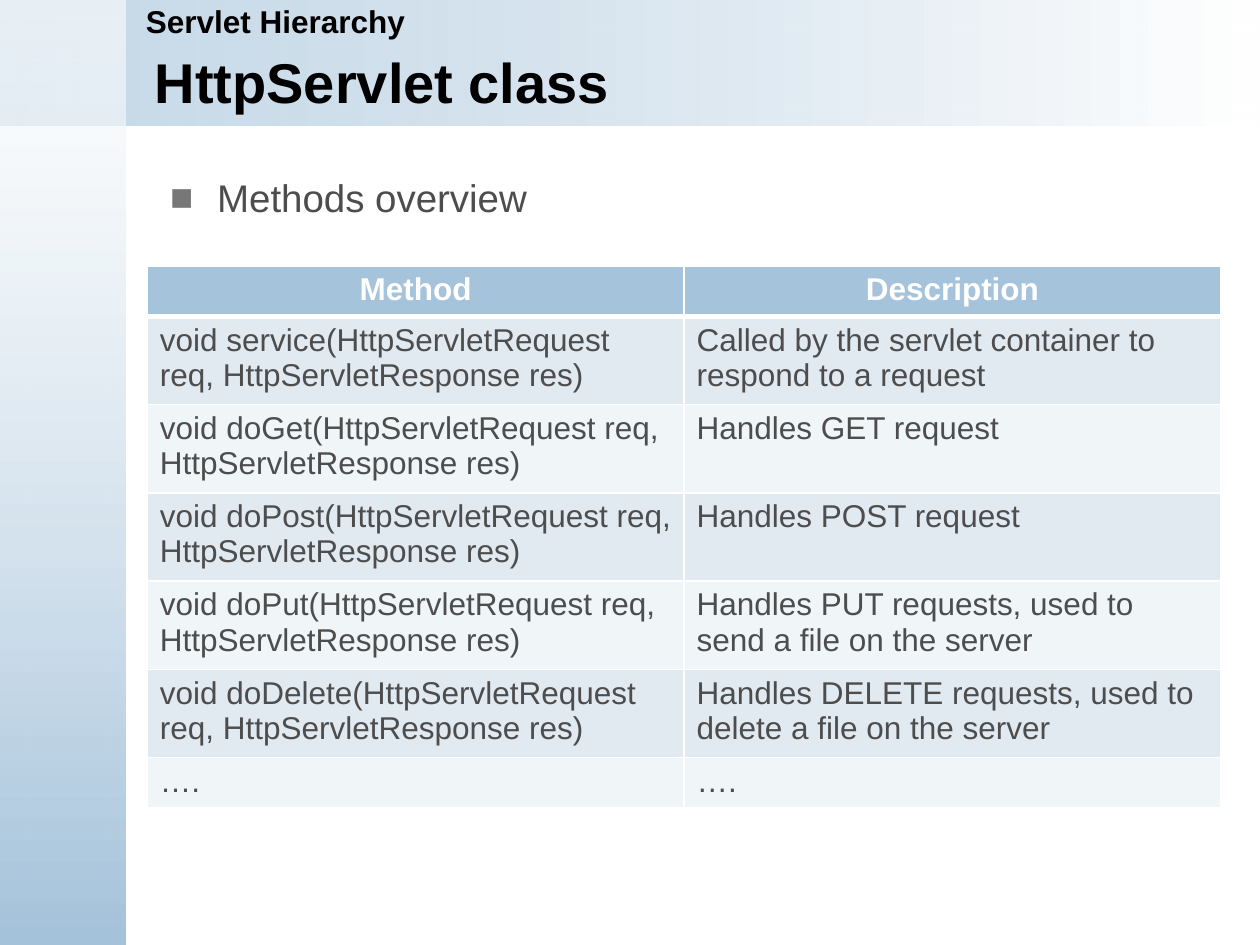
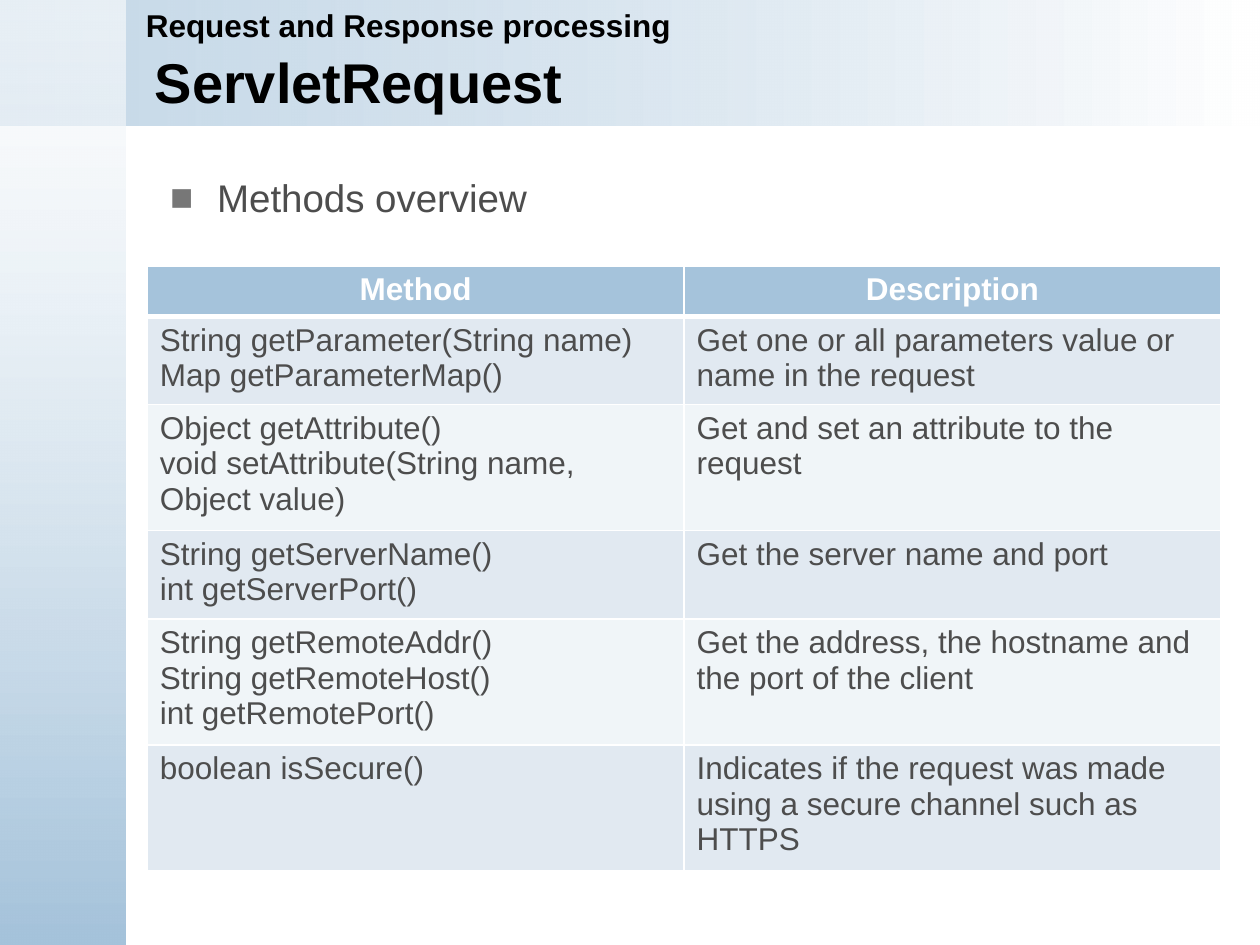
from lxml.etree import SubElement
from pptx import Presentation
from pptx.dml.color import RGBColor
from pptx.enum.shapes import MSO_SHAPE
from pptx.enum.text import MSO_ANCHOR, MSO_AUTO_SIZE, PP_ALIGN
from pptx.oxml.ns import qn
from pptx.util import Cm, Pt

FONT = "Arial"
COLORS = {
    "blue": "A5C3DB",
    "white": "FFFFFF",
    "title": "000000",
    "body": "4D4D4D",
    "bullet": "777777",
    "odd_row": "E1E9F1",
    "even_row": "F0F5F8",
}

BULLET_TEXT = "Methods overview"
HEADERS = ("Method", "Description")

# Each row: method signatures, description, number of lines it takes up
SLIDES = [
    {
        "section": "Servlet Hierarchy",
        "section_top": -0.08,
        "title": "HttpServlet class",
        "rows": [
            ("void service(HttpServletRequest req, HttpServletResponse res)",
             "Called by the servlet container to respond to a request", 2),
            ("void doGet(HttpServletRequest req, HttpServletResponse res)",
             "Handles GET request", 2),
            ("void doPost(HttpServletRequest req, HttpServletResponse res)",
             "Handles POST request", 2),
            ("void doPut(HttpServletRequest req, HttpServletResponse res)",
             "Handles PUT requests, used to send a file on the server", 2),
            ("void doDelete(HttpServletRequest req, HttpServletResponse res)",
             "Handles DELETE requests, used to delete a file on the server", 2),
            ("….", "….", 1),
        ],
    },
    {
        "section": "Request and Response processing",
        "section_top": 0,
        "title": "ServletRequest",
        "rows": [
            ("String getParameter(String name)\nMap getParameterMap()",
             "Get one or all parameters value or name in the request", 2),
            ("Object getAttribute()\nvoid setAttribute(String name, Object value)",
             "Get and set an attribute to the request", 3),
            ("String getServerName()\nint getServerPort()",
             "Get the server name and port", 2),
            ("String getRemoteAddr()\nString getRemoteHost()\nint getRemotePort()",
             "Get the address, the hostname and the port of the client", 3),
            ("boolean isSecure()",
             "Indicates if the request was made using a secure channel such as HTTPS", 3),
        ],
    },
]

SLIDE_WIDTH, SLIDE_HEIGHT = Cm(25.4), Cm(19.05)
BAND_SIZE = Cm(2.54)
TABLE_LEFT, TABLE_TOP = Cm(2.97), Cm(5.36)
COLUMN_WIDTH = Cm(10.82)
ROW_PADDING, LINE_HEIGHT = Cm(0.25), Cm(0.76)


def rgb(name):
    return RGBColor.from_string(COLORS[name])


def format_text(text_frame, size, color, bold=False, alignment=None):
    for paragraph in text_frame.paragraphs:
        paragraph.alignment = alignment
        for run in paragraph.runs:
            run.font.name = FONT
            run.font.size = Pt(size)
            run.font.bold = bold
            run.font.color.rgb = rgb(color)


def add_band(slide, width, height, start, end, start_opacity, angle):
    """Add a gradient band from the top left corner; its start is see-through."""
    band = slide.shapes.add_shape(MSO_SHAPE.RECTANGLE, 0, 0, width, height)
    band.shadow.inherit = False
    band.line.fill.background()
    band.fill.gradient()
    band.fill.gradient_angle = angle
    for stop, color in zip(band.fill.gradient_stops, (start, end)):
        stop.color.rgb = rgb(color)
    first_color = next(band.element.iter(qn("a:srgbClr")))
    SubElement(first_color, qn("a:alpha"), val=str(start_opacity * 1000))


def add_text(slide, text, left, top, width, height, size, color, bold=False):
    box = slide.shapes.add_textbox(Cm(left), Cm(top), Cm(width), Cm(height))
    text_frame = box.text_frame
    text_frame.word_wrap = True
    text_frame.text = text
    format_text(text_frame, size, color, bold)
    return text_frame


def add_bullet(paragraph):
    properties = paragraph._p.get_or_add_pPr()
    indent = Cm(0.95)
    properties.set("marL", str(indent))
    properties.set("indent", str(-indent))
    bullet_color = SubElement(properties, qn("a:buClr"))
    SubElement(bullet_color, qn("a:srgbClr"), val=COLORS["bullet"])
    SubElement(properties, qn("a:buFont"), typeface=FONT)
    SubElement(properties, qn("a:buChar"), char="■")


def set_borders(cell, top, bottom):
    properties = cell._tc.get_or_add_tcPr()
    for side, points in (("L", 1), ("R", 1), ("T", top), ("B", bottom)):
        line = SubElement(properties, qn(f"a:ln{side}"), w=str(Pt(points)))
        fill = SubElement(line, qn("a:solidFill"))
        SubElement(fill, qn("a:srgbClr"), val=COLORS["white"])


def add_method_table(slide, rows):
    all_rows = [(*HEADERS, 1), *rows]
    heights = [ROW_PADDING + LINE_HEIGHT * lines for *_, lines in all_rows]
    table = slide.shapes.add_table(
        len(all_rows), len(HEADERS), TABLE_LEFT, TABLE_TOP,
        COLUMN_WIDTH * len(HEADERS), sum(heights)).table
    for row_index, (*texts, _) in enumerate(all_rows):
        table.rows[row_index].height = heights[row_index]
        is_header = row_index == 0
        row_color = "odd_row" if row_index % 2 else "even_row"
        for column_index, text in enumerate(texts):
            cell = table.cell(row_index, column_index)
            cell.text_frame.text = text
            set_borders(cell, top=3 if row_index == 1 else 1,
                        bottom=3 if is_header else 1)
            cell.fill.solid()
            cell.fill.fore_color.rgb = rgb("blue" if is_header else row_color)
            format_text(cell.text_frame, 18, "white" if is_header else "body",
                        is_header, PP_ALIGN.CENTER if is_header else None)


def build_slide(presentation, content):
    slide = presentation.slides.add_slide(presentation.slide_layouts[6])
    add_band(slide, SLIDE_WIDTH, BAND_SIZE, "blue", "white", 62, 0)
    add_band(slide, BAND_SIZE, SLIDE_HEIGHT, "white", "blue", 59, 270)
    title = add_text(slide, content["title"], 2.87, 0.91, 21.46, 1.45, 32, "title", True)
    title.vertical_anchor = MSO_ANCHOR.MIDDLE
    section = add_text(slide, content["section"], 2.69, content["section_top"],
                       22.71, 1.02, 18, "title", True)
    overview = add_text(slide, BULLET_TEXT, 3.18, 3.38, 21.03, 1.19, 22, "body")
    add_bullet(overview.paragraphs[0])
    for text_frame in (section, overview):
        text_frame.auto_size = MSO_AUTO_SIZE.SHAPE_TO_FIT_TEXT
    add_method_table(slide, content["rows"])


def main():
    presentation = Presentation()
    presentation.slide_width = SLIDE_WIDTH
    presentation.slide_height = SLIDE_HEIGHT
    for content in SLIDES:
        build_slide(presentation, content)
    presentation.save("out.pptx")


if __name__ == "__main__":
    main()
